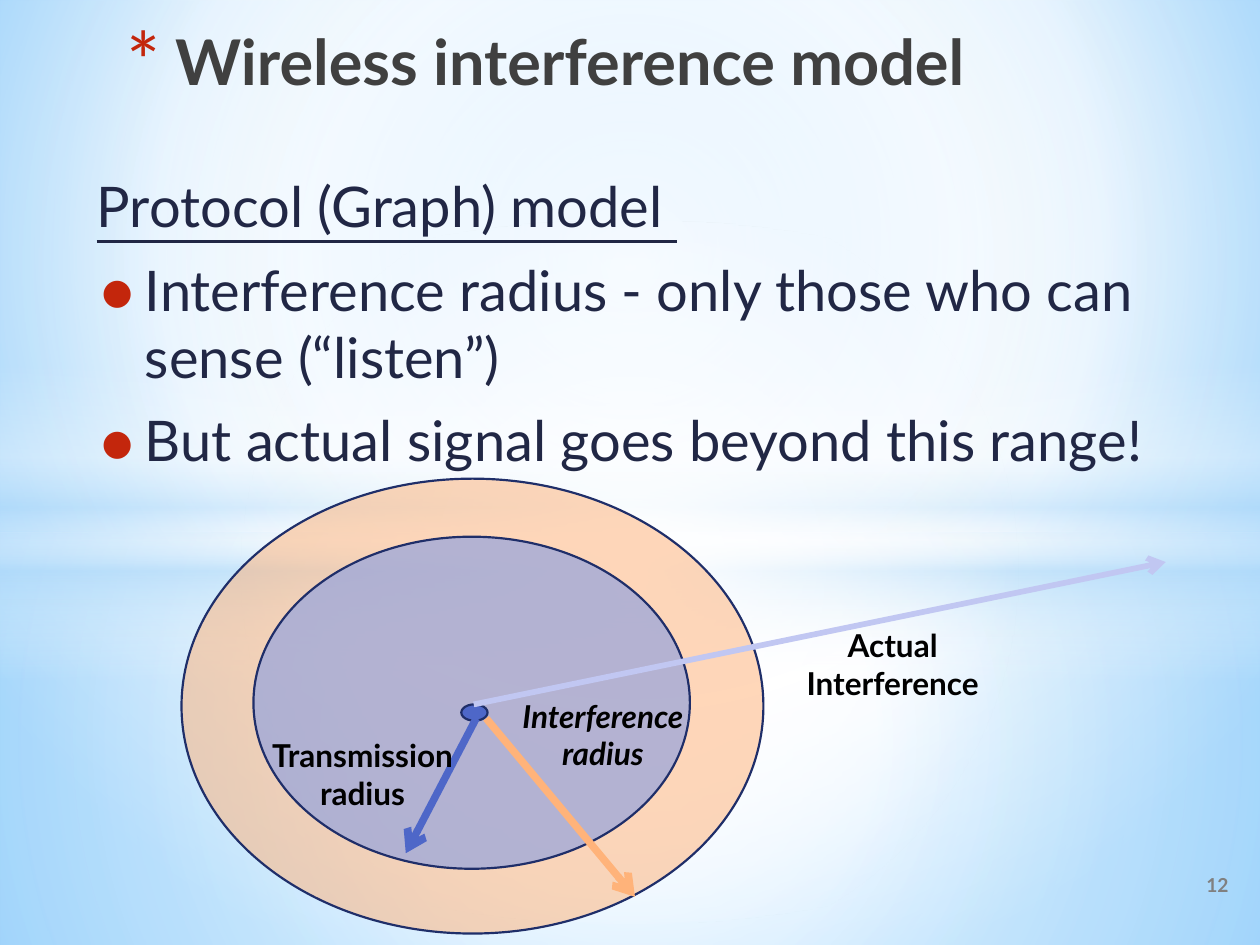
from lxml.etree import SubElement
from pptx import Presentation
from pptx.dml.color import RGBColor
from pptx.enum.shapes import MSO_CONNECTOR, MSO_SHAPE
from pptx.enum.text import MSO_ANCHOR, MSO_AUTO_SIZE, PP_ALIGN
from pptx.oxml import parse_xml
from pptx.oxml.ns import nsdecls, qn
from pptx.util import Cm, Pt

COLORS = {
    "white": "FFFFFF", "sky": "B4DCFA", "light_sky": "9ED5FF", "deep_sky": "5BB9FF",
    "title": "404040", "body": "212745", "bullet": "C3260C", "label": "000000",
    "number": "808080", "orange": "FFB37A", "violet": "95A4DE", "blue": "4E67C8",
    "outline": "1F2E69", "lavender": "C1C7F2",
}
FONT = "Lato"


def color(name):
    return RGBColor.from_string(COLORS[name])


def paint_gradient(fill, parent, stops, focus=None):
    fill.solid()
    marks = "".join(
        f'<a:gs pos="{position * 1000}"><a:srgbClr val="{COLORS[name]}">'
        f'<a:alpha val="{opacity * 1000}"/></a:srgbClr></a:gs>'
        for position, name, opacity in stops)
    if focus:
        left, top, right, bottom = (value * 1000 for value in focus)
        direction = (f'<a:path path="circle"><a:fillToRect l="{left}" t="{top}" '
                     f'r="{right}" b="{bottom}"/></a:path>')
    else:
        direction = '<a:lin ang="5400000" scaled="0"/>'
    gradient = parse_xml(f'<a:gradFill {nsdecls("a")} rotWithShape="1">'
                         f'<a:gsLst>{marks}</a:gsLst>{direction}</a:gradFill>')
    parent.replace(parent.find(qn("a:solidFill")), gradient)


def add_plain_shape(page, kind, box):
    shape = page.shapes.add_shape(kind, *(Cm(value) for value in box))
    shape.shadow.inherit = False
    return shape


def add_background(page, width, height):
    fill = page.background.fill
    fill.solid()
    paint_gradient(fill, page.element.find(".//" + qn("p:bgPr")),
                   [(0, "light_sky", 100), (60, "white", 100), (100, "deep_sky", 100)],
                   (20, 10, 20, 60))
    center = (50, 50, 50, 50)
    horizon = 10.74
    layers = [
        (MSO_SHAPE.RECTANGLE, (0, horizon, width, height - horizon),
         [(0, "white", 91), (37, "white", 76), (100, "sky", 79)], center),
        (MSO_SHAPE.RECTANGLE, (0, 0, width, horizon),
         [(0, "white", 89), (48, "white", 62), (100, "sky", 79)], center),
        (MSO_SHAPE.RECTANGLE, (0, 7.37, width, 6.35),
         [(0, "white", 0), (29, "white", 30), (45, "sky", 40),
          (55, "white", 26), (65, "sky", 60), (100, "white", 0)], None),
        (MSO_SHAPE.OVAL, (0, 4.44, width, 14.17),
         [(0, "white", 100), (54, "white", 0)], center),
    ]
    for kind, box, stops, focus in layers:
        shape = add_plain_shape(page, kind, box)
        paint_gradient(shape.fill, shape.element.spPr, stops, focus)
        shape.line.fill.background()


def add_text_frame(page, box, wrap=True):
    frame = page.shapes.add_textbox(*(Cm(value) for value in box)).text_frame
    frame.word_wrap = wrap
    return frame


def add_span(para, text, size, color_name, bold=False, italic=False, underline=False):
    span = para.add_run()
    span.text = text
    font = span.font
    font.name = FONT
    font.size = Pt(size)
    font.bold = bold
    font.italic = italic
    font.underline = underline
    font.color.rgb = color(color_name)


def set_bullet(para, character, percent):
    properties = para._p.get_or_add_pPr()
    properties.set("marL", str(Cm(0.97)))
    properties.set("indent", str(-Cm(0.97)))
    tint = SubElement(properties, qn("a:buClr"))
    SubElement(tint, qn("a:srgbClr"), val=COLORS["bullet"])
    SubElement(properties, qn("a:buSzPct"), val=str(percent * 1000))
    SubElement(properties, qn("a:buFont"), typeface=FONT)
    SubElement(properties, qn("a:buChar"), char=character)


def add_title(page, box):
    para = add_text_frame(page, box).paragraphs[0]
    set_bullet(para, "*", 128)
    add_span(para, "Wireless interference model", 36, "title", bold=True)


def add_body(page, box):
    frame = add_text_frame(page, box)
    lines = [
        ("Protocol (Graph) model ", False),
        ("Interference radius - only those who can sense (“listen”)", True),
        ("But actual signal goes beyond this range!", True),
    ]
    for index, (text, bulleted) in enumerate(lines):
        para = frame.add_paragraph() if index else frame.paragraphs[0]
        para.space_before = Pt(6.4) if index else Pt(0)
        para.space_after = Pt(3)
        if bulleted:
            set_bullet(para, "•", 130)
        add_span(para, text, 32, "body", underline=not bulleted)


def add_ellipse(page, box, fill_name, opacity=100):
    shape = add_plain_shape(page, MSO_SHAPE.OVAL, box)
    shape.fill.solid()
    shape.fill.fore_color.rgb = color(fill_name)
    if opacity < 100:
        tint = shape.element.spPr.find(qn("a:solidFill")).find(qn("a:srgbClr"))
        SubElement(tint, qn("a:alpha"), val=str(opacity * 1000))
    shape.line.color.rgb = color("outline")
    shape.line.width = Pt(1.25)


def add_arrow(page, start, end, color_name, width):
    arrow = page.shapes.add_connector(
        MSO_CONNECTOR.STRAIGHT, *(Cm(value) for value in (*start, *end)))
    arrow.line.color.rgb = color(color_name)
    arrow.line.width = Pt(width)
    SubElement(arrow.line._get_or_add_ln(), qn("a:tailEnd"), type="arrow")
    SubElement(arrow.element.spPr, qn("a:effectLst"))


def add_label(page, box, lines, italic=False):
    frame = add_text_frame(page, box, wrap=False)
    frame.auto_size = MSO_AUTO_SIZE.SHAPE_TO_FIT_TEXT
    for index, text in enumerate(lines):
        para = frame.add_paragraph() if index else frame.paragraphs[0]
        para.alignment = PP_ALIGN.CENTER
        add_span(para, text, 18, "label", bold=True, italic=italic)


def add_radius_diagram(page, box):
    left, top, width, height = box

    def at(x, y):
        return left + x, top + y

    add_ellipse(page, box, "orange", 52)
    add_ellipse(page, (*at(1.45, 1.17), width * 0.75, height * 0.73), "violet", 70)
    add_ellipse(page, (*at(5.64, 4.55), 0.53, 0.33), "blue")
    add_arrow(page, at(5.94, 4.83), at(4.52, 7.55), "blue", 4.25)
    add_arrow(page, at(6.14, 4.83), at(9.14, 8.43), "orange", 4.25)
    add_arrow(page, at(5.89, 4.55), at(19.84, 1.68), "lavender", 3.25)
    add_label(page, (*at(1.39, 5.06), 4.52, 1.8), ["Transmission", "radius"])
    add_label(page, (*at(6.35, 4.27), 4.29, 1.8), ["Interference", "radius"], italic=True)
    add_label(page, (*at(12.19, 2.85), 4.29, 1.8), ["Actual", "Interference"])


def add_page_number(page, box):
    frame = add_text_frame(page, box)
    frame.vertical_anchor = MSO_ANCHOR.MIDDLE
    para = frame.paragraphs[0]
    para.alignment = PP_ALIGN.RIGHT
    add_span(para, "12", 11, "number", bold=True)


def main():
    width, height = 25.4, 19.05
    deck = Presentation()
    deck.slide_width, deck.slide_height = Cm(width), Cm(height)
    page = deck.slides.add_slide(deck.slide_layouts[6])
    add_background(page, width, height)
    add_body(page, (1.7, 3.33, 22.8, 8.2))
    add_title(page, (2.31, 0.33, 21, 2.79))
    add_radius_diagram(page, (3.66, 9.65, 11.73, 9.17))
    add_page_number(page, (15.7, 17.32, 9.32, 1.02))
    deck.save("out.pptx")


if __name__ == "__main__":
    main()
